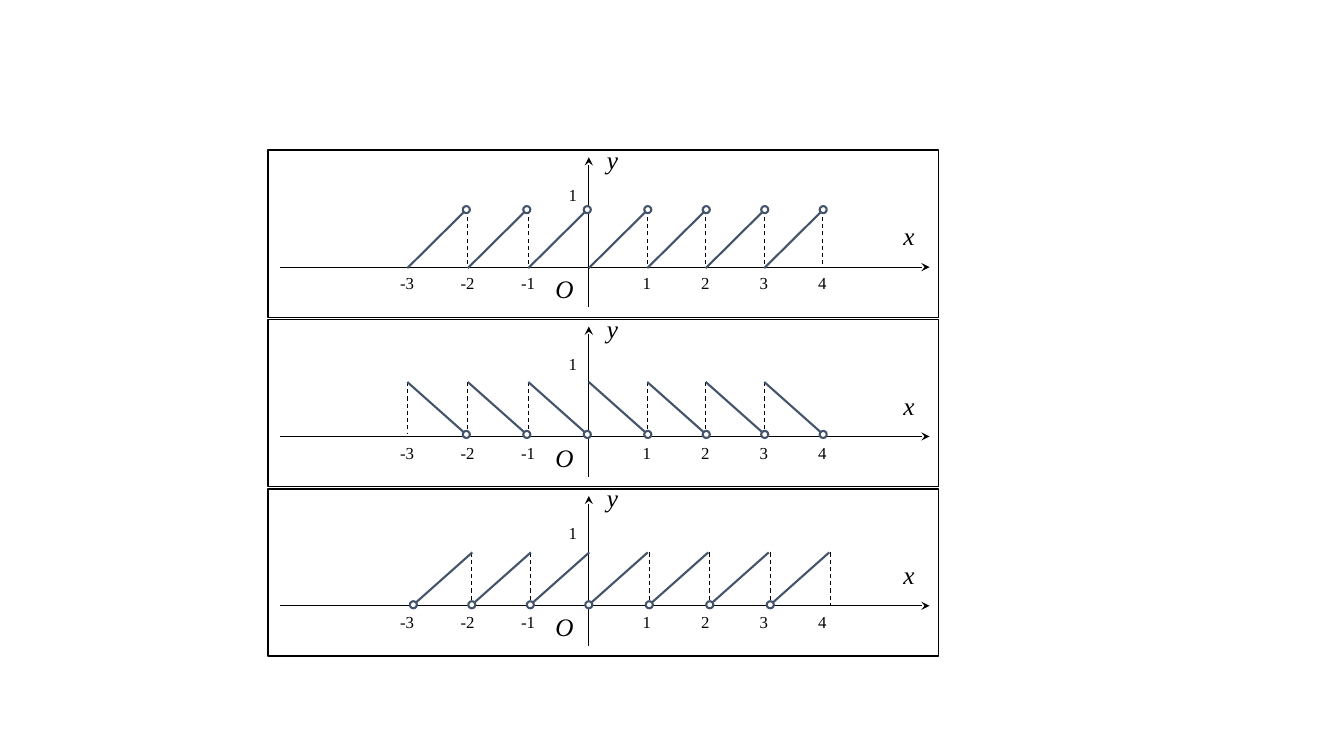
from dataclasses import dataclass

from lxml.etree import SubElement
from pptx import Presentation
from pptx.dml.color import RGBColor
from pptx.enum.dml import MSO_LINE
from pptx.enum.shapes import MSO_CONNECTOR, MSO_SHAPE
from pptx.enum.text import MSO_AUTO_SIZE, PP_ALIGN
from pptx.oxml.ns import qn
from pptx.util import Inches, Pt

COLORS = {"axis": "000000", "wave": "44546A", "open_point": "FFFFFF"}
NUMBER = {"name": "Times New Roman", "size": Pt(12), "italic": False}
SYMBOL = {"name": "Times New Roman", "size": Pt(18), "italic": True}

# Plot layout in inches
ORIGIN_X = 5.84
WIDE_STEP, NARROW_STEP = 0.6, 0.58
TOOTH_WIDTH = 0.585
POINT_SIZE = 0.07
FIRST_AXIS_Y = 2.65
PANEL_STEP = 1.68


@dataclass
class Sawtooth:
    low: float  # lower end of each tooth, relative to the x axis
    rise: float
    rising: bool
    open_at_start: bool
    left_step: float
    right_step: float
    drops: range  # integers that carry a dashed vertical


WAVES = [
    Sawtooth(0.01, 0.58, True, False, WIDE_STEP, NARROW_STEP, range(-2, 5)),
    Sawtooth(-0.02, 0.52, False, False, WIDE_STEP, NARROW_STEP, range(-3, 4)),
    Sawtooth(-0.01, 0.52, True, True, NARROW_STEP, WIDE_STEP, range(-2, 5)),
]


def color(key):
    return RGBColor.from_string(COLORS[key])


def position(n, left_step=WIDE_STEP, right_step=NARROW_STEP):
    return ORIGIN_X + n * (left_step if n < 0 else right_step)


def add_line(plot, start, end, key="axis", width=0.75, dashed=False, arrow=False):
    segment = plot.add_connector(
        MSO_CONNECTOR.STRAIGHT, *(Inches(v) for v in (*start, *end)))
    segment.line.color.rgb = color(key)
    segment.line.width = Pt(width)
    if dashed:
        segment.line.dash_style = MSO_LINE.DASH
    properties = segment._element.spPr
    if arrow:
        SubElement(properties.find(qn("a:ln")), qn("a:tailEnd"), type="stealth")
    SubElement(properties, qn("a:effectLst"))


def add_outline(shapes, preset, box, key, width, fill=None):
    outline = shapes.add_shape(preset, *(Inches(v) for v in box))
    outline.shadow.inherit = False
    outline.line.color.rgb = color(key)
    outline.line.width = Pt(width)
    if fill:
        outline.fill.solid()
        outline.fill.fore_color.rgb = color(fill)
    else:
        outline.fill.background()


def add_label(plot, text, box, style, align=PP_ALIGN.LEFT):
    label = plot.add_textbox(*(Inches(v) for v in box))
    frame = label.text_frame
    frame.word_wrap = False
    frame.auto_size = MSO_AUTO_SIZE.SHAPE_TO_FIT_TEXT
    paragraph = frame.paragraphs[0]
    paragraph.alignment = align
    run = paragraph.add_run()
    run.text = text
    for attribute, value in style.items():
        setattr(run.font, attribute, value)
    run.font.color.rgb = color("axis")


def add_axes(plot, axis_y):
    add_line(plot, (2.78, axis_y), (9.22, axis_y), arrow=True)
    add_line(plot, (ORIGIN_X, axis_y + 0.4), (ORIGIN_X, axis_y - 1.09), arrow=True)
    for text, left, offset, width in (
            ("y", 5.92, -1.27, 0.31), ("O", 5.41, 0.01, 0.38), ("x", 8.86, -0.51, 0.31)):
        add_label(plot, text, (left, axis_y + offset, width, 0.4), SYMBOL, PP_ALIGN.CENTER)


def add_numbers(plot, axis_y):
    for n in range(-3, 5):
        if n:
            width = 0.34 if n < 0 else 0.29
            add_label(plot, str(n),
                      (position(n) - width / 2, axis_y + 0.01, width, 0.3), NUMBER)
    add_label(plot, "1", (5.54, axis_y - 0.87, 0.29, 0.3), NUMBER)


def add_wave(plot, axis_y, wave):
    low = axis_y + wave.low
    high = low - wave.rise
    start_y, end_y = (low, high) if wave.rising else (high, low)
    # Dashed drops between teeth; the y axis stands in at zero
    for n in wave.drops:
        if n:
            x = position(n, wave.left_step, wave.right_step)
            add_line(plot, (x, high), (x, low), dashed=True)
    # Teeth, each with one open end
    for n in range(-3, 4):
        x = position(n, wave.left_step, wave.right_step)
        start, end = (x, start_y), (x + TOOTH_WIDTH, end_y)
        add_line(plot, start, end, "wave", 1.5)
        open_x, open_y = start if wave.open_at_start else end
        add_outline(plot, MSO_SHAPE.OVAL,
                    (open_x - POINT_SIZE / 2, open_y - POINT_SIZE / 2,
                     POINT_SIZE, POINT_SIZE), "wave", 1.5, "open_point")


def main():
    deck = Presentation()
    deck.slide_width, deck.slide_height = Inches(13.33), Inches(7.5)
    slide = deck.slides.add_slide(deck.slide_layouts[6])

    # One framed graph per sawtooth function
    for row, wave in enumerate(WAVES):
        axis_y = FIRST_AXIS_Y + row * PANEL_STEP
        plot = slide.shapes.add_group_shape().shapes
        add_axes(plot, axis_y)
        add_wave(plot, axis_y, wave)
        add_numbers(plot, axis_y)
        add_outline(slide.shapes, MSO_SHAPE.RECTANGLE,
                    (2.66, axis_y - 1.16, 6.65, 1.66), "axis", 1)

    deck.save("out.pptx")


if __name__ == "__main__":
    main()
